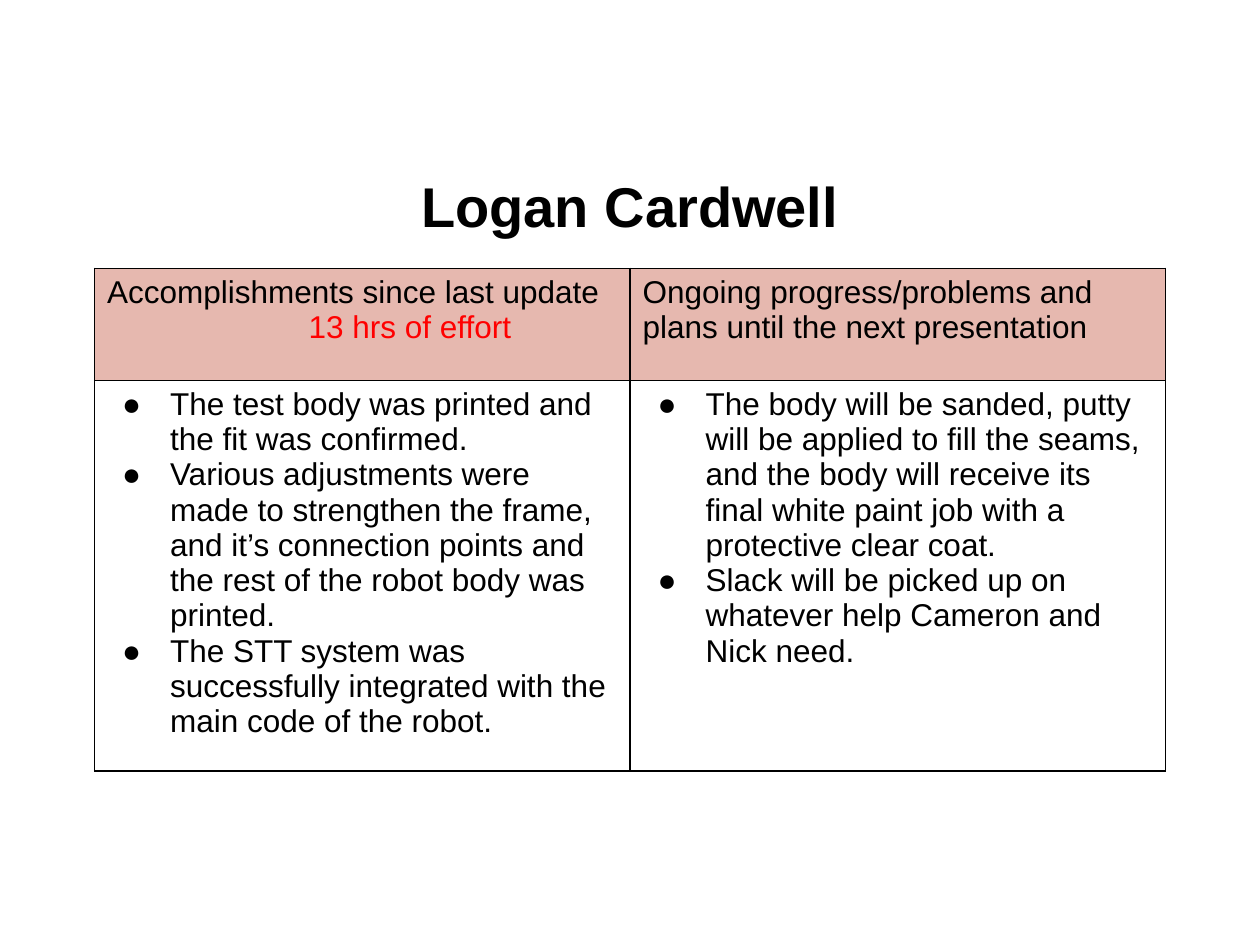
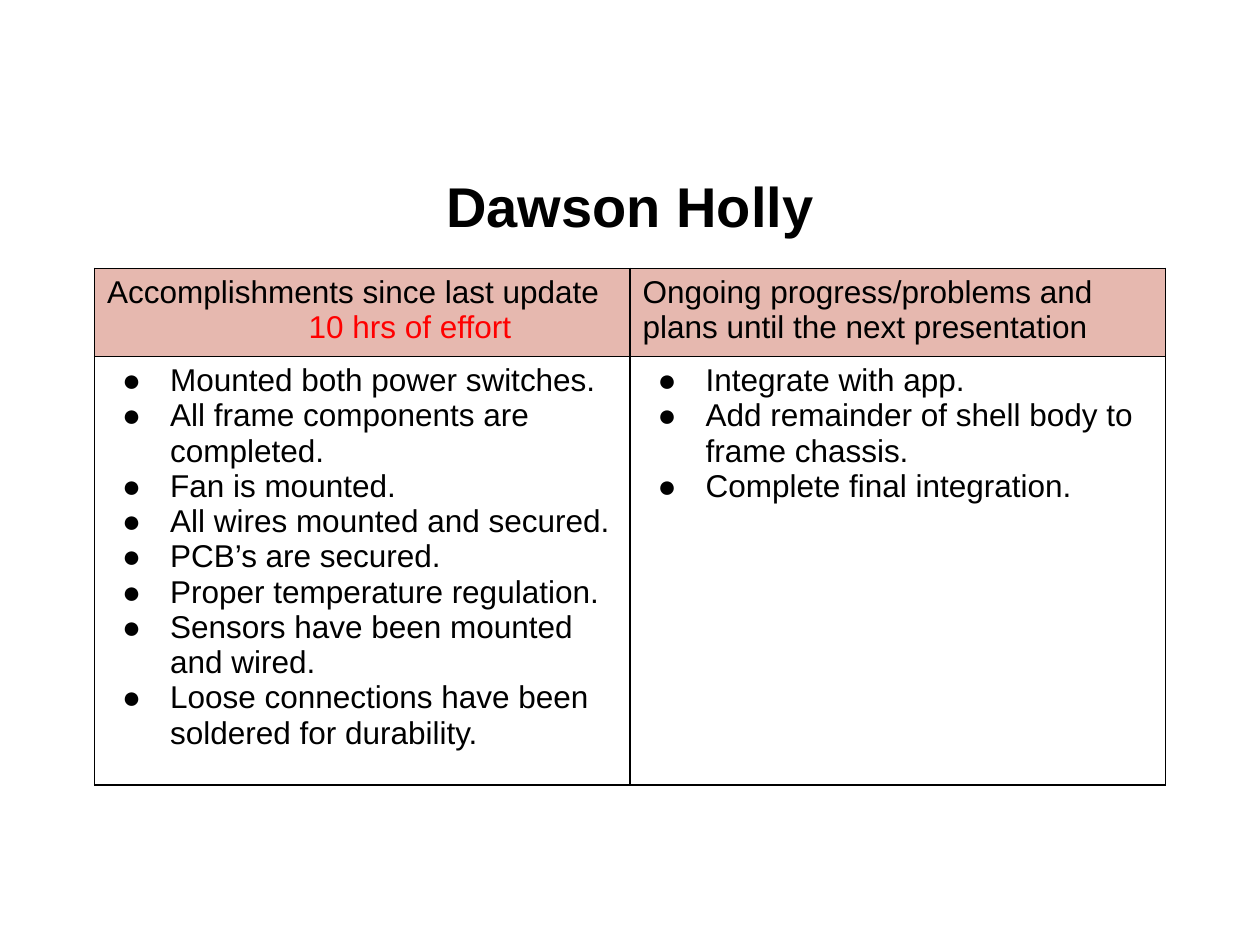
from dataclasses import dataclass

from lxml import etree
from pptx import Presentation, util as u
from pptx.dml.color import RGBColor
from pptx.enum import text
from pptx.oxml import ns

PX = 9144  # EMU per px, 100 px to the inch


@dataclass(frozen=True)
class Theme:
    font: str = "Arial"
    title_size: int = 32
    body_size: int = 18
    ink: str = "000000"
    effort: str = "FF0000"
    header_fill: str = "E6B8AF"


theme = Theme()

updates = [
    {
        "name": "Logan Cardwell",
        "effort": "13 hrs of effort",
        "row_heights": (89, 240),
        "columns": [
            [
                "The test body was printed and the fit was confirmed.",
                "Various adjustments were made to strengthen the frame, and it’s connection "
                "points and the rest of the robot body was printed.",
                "The STT system was successfully integrated with the main code of the robot.",
            ],
            [
                "The body will be sanded, putty will be applied to fill the seams, and the body "
                "will receive its final white paint job with a protective clear coat.",
                "Slack will be picked up on whatever help Cameron and Nick need.",
            ],
        ],
    },
    {
        "name": "Dawson Holly",
        "effort": "10 hrs of effort",
        "row_heights": (70, 190),
        "columns": [
            [
                "Mounted both power switches.",
                "All frame components are completed.",
                "Fan is mounted.",
                "All wires mounted and secured.",
                "PCB’s are secured.",
                "Proper temperature regulation.",
                "Sensors have been mounted and wired.",
                "Loose connections have been soldered for durability.",
            ],
            [
                "Integrate with app.",
                "Add remainder of shell body to frame chassis.",
                "Complete final integration.",
            ],
        ],
    },
]


def write(frame, lines, size=theme.body_size, color=theme.ink, bold=False,
          left=0, hanging=0, bullet=None):
    """Add lines to a text frame, filling its empty first paragraph."""
    for line in lines:
        paragraph = frame.paragraphs[-1]
        if paragraph.runs:
            paragraph = frame.add_paragraph()
        paragraph.add_run().text = line
        properties = paragraph._p.get_or_add_pPr()
        properties.set("marL", str(left * PX))
        properties.set("indent", str(-hanging * PX))
        if bullet:
            bullet_color = etree.SubElement(properties, ns.qn("a:buClr"))
            etree.SubElement(bullet_color, ns.qn("a:srgbClr"), val=color)
            etree.SubElement(properties, ns.qn("a:buFont"), typeface=theme.font)
            etree.SubElement(properties, ns.qn("a:buChar"), char=bullet)
        paragraph.font.name = theme.font
        paragraph.font.size = u.Pt(size)
        paragraph.font.bold = bold
        paragraph.font.color.rgb = RGBColor.from_string(color)


def add_borders(cell):
    """Draw a 1 pt line on all four sides of a cell."""
    properties = cell._tc.get_or_add_tcPr()
    for position, side in enumerate(("lnL", "lnR", "lnT", "lnB")):
        line = etree.Element(ns.qn(f"a:{side}"), w=str(u.Pt(1)))
        fill = etree.SubElement(line, ns.qn("a:solidFill"))
        etree.SubElement(fill, ns.qn("a:srgbClr"), val=theme.ink)
        properties.insert(position, line)


presentation = Presentation()
presentation.slide_width = 1000 * PX
presentation.slide_height = 750 * PX

for update in updates:
    slide = presentation.slides.add_slide(presentation.slide_layouts[6])

    # Title
    title = slide.shapes.add_textbox(50 * PX, 115 * PX, 900 * PX, 88 * PX).text_frame
    title.word_wrap = True
    title.vertical_anchor = text.MSO_ANCHOR.MIDDLE
    write(title, [update["name"]], size=theme.title_size, bold=True)
    title.paragraphs[0].alignment = text.PP_ALIGN.CENTER
    title.paragraphs[0].line_spacing = 1.15

    # Table grid
    heights = update["row_heights"]
    table = slide.shapes.add_table(
        2, 2, 75 * PX, 213 * PX, 850 * PX, sum(heights) * PX).table
    table.first_row = False
    table.horz_banding = False
    for row, height in zip(table.rows, heights):
        row.height = height * PX
    for cell in table.iter_cells():
        cell.fill.background()
        add_borders(cell)

    # Header row
    accomplishments, plans = table.cell(0, 0), table.cell(0, 1)
    for header in (accomplishments, plans):
        header.fill.solid()
        header.fill.fore_color.rgb = RGBColor.from_string(theme.header_fill)
    write(accomplishments.text_frame, ["Accomplishments since last update"])
    write(accomplishments.text_frame, [update["effort"]], color=theme.effort, left=160)
    write(plans.text_frame,
          ["Ongoing progress/problems and plans until the next presentation"])

    # Bulleted lists
    for column, items in enumerate(update["columns"]):
        write(table.cell(1, column).text_frame, items, left=50, hanging=38, bullet="●")

presentation.save("out.pptx")
